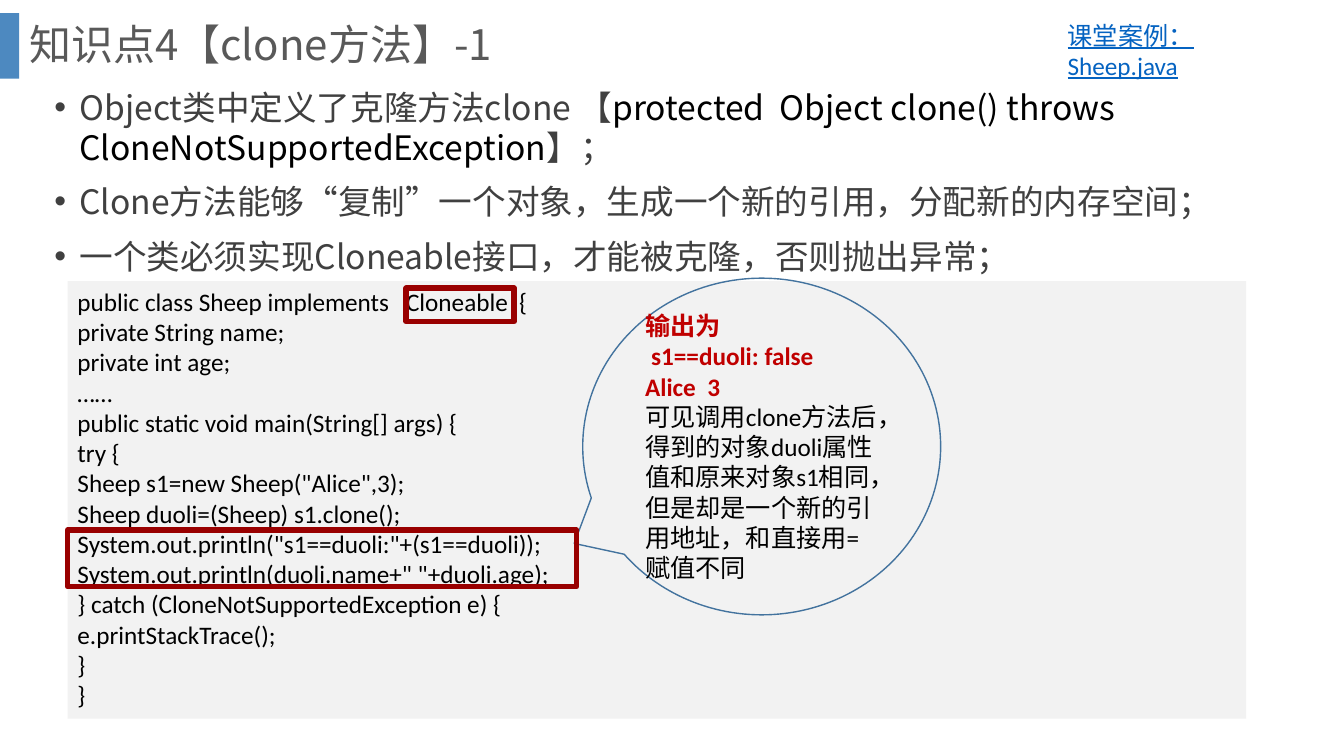
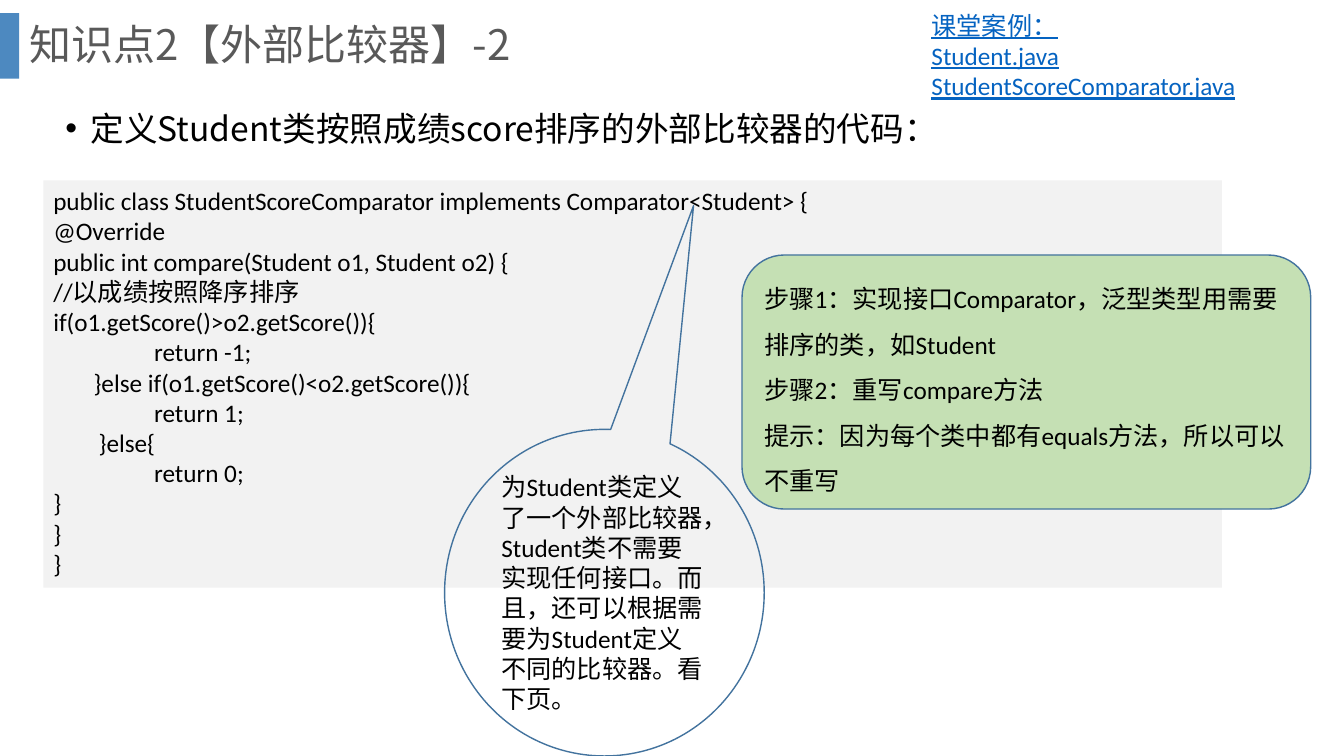
from lxml.etree import SubElement
from pptx import Presentation
from pptx.dml.color import RGBColor
from pptx.enum.shapes import MSO_SHAPE
from pptx.enum.text import MSO_ANCHOR, PP_ALIGN
from pptx.oxml.ns import qn
from pptx.util import Inches, Pt

COLORS = {
    "bar": "2E75B6", "title": "595959", "body": "404040", "black": "000000",
    "code": "F2F2F2", "link": "0563C1", "outline": "43739E",
    "frame": "990000", "result": "C00000", "steps": "C5E0B4",
}
HEADING_FONT, TEXT_FONT = "Noto Sans CJK SC", "Calibri"
RESULT = {"color": "result", "bold": True}

# Content: a paragraph is a list of (text, format) spans; places are left, top, width, height
SLIDES = [
    {
        "title": "知识点4【clone方法】-1",
        "bullets": {
            "at": (0.44, 0.81, 12.05, 2.07), "color": "body", "line_spacing": 1.0,
            "paragraphs": [
                [("Object类中定义了克隆方法clone 【", {}),
                 ("protected  Object clone() throws CloneNotSupportedException",
                  {"color": "black"}),
                 ("】；", {})],
                [("Clone方法能够“复制”一个对象，生成一个新的引用，分配新的内存空间；", {})],
                [("一个类必须实现Cloneable接口，才能被克隆，否则抛出异常；", {})],
            ],
        },
        "code": {
            "at": (0.67, 2.79, 11.69, 4.34),
            "lines": [
                "public class Sheep implements   Cloneable  {",
                "private String name;",
                "private int age;",
                "……",
                "public static void main(String[] args) {",
                "try {",
                'Sheep s1=new Sheep("Alice",3);',
                "Sheep duoli=(Sheep) s1.clone();",
                'System.out.println("s1==duoli:"+(s1==duoli));',
                'System.out.println(duoli.name+" "+duoli.age);',
                "} catch (CloneNotSupportedException e) {",
                "e.printStackTrace();",
                "}",
                "}",
            ],
            "indents": {},
        },
        "link": {"at": (10.49, 0.15, 2.28, 0.71), "lines": ["课堂案例：Sheep.java"]},
        "callout": {
            "at": (5.78, 2.76, 3.55, 3.34), "tip": (-0.524, 0.288),
            "paragraphs": [
                [("输出为", RESULT)],
                [("s1==duoli: false", RESULT)],
                [("Alice  3", RESULT)],
                [("可见调用clone方法后，得到的对象duoli属性值和原来对象s1相同，"
                  "但是却是一个新的引用地址，和直接用=赋值不同", {})],
            ],
            "indents": {1: 0.06},
        },
        "frames": [(4.03, 2.86, 1.07, 0.33), (0.67, 5.26, 5.05, 0.56)],
    },
    {
        "title": "知识点2【外部比较器】-2",
        "bullets": {
            "at": (0.55, 0.82, 11.89, 0.9), "color": "black", "line_spacing": 1.5,
            "paragraphs": [[("定义Student类按照成绩score排序的外部比较器的代码：", {})]],
        },
        "code": {
            "at": (0.43, 1.79, 11.69, 4.04),
            "lines": [
                "public class StudentScoreComparator implements Comparator<Student> {",
                "@Override",
                "public int compare(Student o1, Student o2) {",
                "//以成绩按照降序排序",
                "if(o1.getScore()>o2.getScore()){",
                "return -1;",
                "}else if(o1.getScore()<o2.getScore()){",
                "return 1;",
                "}else{",
                "return 0;",
                "}",
                "}",
                "}",
            ],
            "indents": {5: 1, 6: 0.4, 7: 1, 8: 0.45, 9: 1},
        },
        "steps": {
            "at": (7.36, 2.53, 5.64, 2.52),
            "lines": [
                "步骤1：实现接口Comparator，泛型类型用需要排序的类，如Student",
                "步骤2：重写compare方法",
                "提示：因为每个类中都有equals方法，所以可以不重写",
            ],
        },
        "callout": {
            "at": (4.41, 4.26, 3.17, 3.24), "tip": (0.279, -1.185),
            "paragraphs": [
                [("为Student类定义了一个外部比较器，Student类不需要实现任何接口。"
                  "而且，还可以根据需要为Student定义不同的比较器。看下页。", {})],
            ],
            "indents": {},
        },
        "link": {
            "at": (9.14, 0.05, 3.62, 1.01),
            "lines": ["课堂案例：", "Student.java", "StudentScoreComparator.java"],
        },
    },
]


def rgb(name):
    return RGBColor.from_string(COLORS[name])


def plain(lines):
    return [[(line, {})] for line in lines]


def place(shape, at):
    shape.left, shape.top, shape.width, shape.height = map(Inches, at)


def format_span(span, font, size, color, bold=False, underline=False):
    span.font.name, span.font.size = font, Pt(size)
    span.font.bold, span.font.underline = bold, underline
    span.font.color.rgb = rgb(color)
    # East Asian text takes the same typeface
    SubElement(span.font._element, qn("a:ea"), typeface=font)


def write(shape, paragraphs, font=TEXT_FONT, size=18, color="black", underline=False,
          anchor=MSO_ANCHOR.TOP, line_spacing=None, space_before=0, bullet=False,
          indents=None):
    frame = shape.text_frame
    frame.word_wrap, frame.vertical_anchor = True, anchor
    for index, spans in enumerate(paragraphs):
        para = frame.paragraphs[0] if index == 0 else frame.add_paragraph()
        para.alignment = PP_ALIGN.LEFT
        para.space_before = Pt(space_before)
        if line_spacing:
            para.line_spacing = line_spacing
        properties = para._p.get_or_add_pPr()
        if bullet:
            properties.set("marL", str(Inches(0.25)))
            properties.set("indent", str(-Inches(0.25)))
            SubElement(properties, qn("a:buFont"), typeface="Arial")
            SubElement(properties, qn("a:buChar"), char="•")
        elif indents and index in indents:
            properties.set("marL", str(Inches(indents[index])))
        for text, changes in spans:
            span = para.add_run()
            span.text = text
            style = {"color": color, "underline": underline, **changes}
            format_span(span, font, size, **style)


def add_box(page, kind, at, fill=None, line=None, line_width=1):
    box = page.shapes.add_shape(kind, *map(Inches, at))
    box.shadow.inherit = False
    if fill:
        box.fill.solid()
        box.fill.fore_color.rgb = rgb(fill)
    else:
        box.fill.background()
    if line:
        box.line.color.rgb = rgb(line)
        box.line.width = Pt(line_width)
    else:
        box.line.fill.background()
    return box


def add_layout_bar(page):
    """Draw the accent bar and hand it to the layout that all slides share."""
    bar = add_box(page, MSO_SHAPE.RECTANGLE, (0, 0.13, 0.19, 0.65), fill="bar")
    color = bar.element.find(".//" + qn("a:srgbClr"))
    SubElement(color, qn("a:alpha"), val="85000")
    page.slide_layout.shapes.element.append(bar.element)


def add_text(page, at, paragraphs, **style):
    write(page.shapes.add_textbox(*map(Inches, at)), paragraphs, **style)


def build_page(page, content):
    # Title and bullets
    place(page.shapes.title, (0.19, 0, 12.66, 0.93))
    write(page.shapes.title, plain([content["title"]]), font=HEADING_FONT, size=30,
          color="title", anchor=MSO_ANCHOR.MIDDLE, line_spacing=0.9)
    bullets = content["bullets"]
    add_text(page, bullets["at"], bullets["paragraphs"], font=HEADING_FONT, size=24,
             color=bullets["color"], line_spacing=bullets["line_spacing"],
             space_before=10, bullet=True)

    # Code panel
    code = content["code"]
    panel = add_box(page, MSO_SHAPE.RECTANGLE, code["at"], fill="code")
    write(panel, plain(code["lines"]), indents=code["indents"])

    # Steps
    if "steps" in content:
        steps = content["steps"]
        card = add_box(page, MSO_SHAPE.ROUNDED_RECTANGLE, steps["at"],
                       fill="steps", line="outline")
        write(card, plain(steps["lines"]), anchor=MSO_ANCHOR.MIDDLE, line_spacing=1.5)

    # Callout
    callout = content["callout"]
    bubble = add_box(page, MSO_SHAPE.OVAL_CALLOUT, callout["at"], line="outline")
    bubble.adjustments[0], bubble.adjustments[1] = callout["tip"]
    write(bubble, callout["paragraphs"], anchor=MSO_ANCHOR.MIDDLE,
          indents=callout["indents"])

    # Example files and highlight frames
    link = content["link"]
    add_text(page, link["at"], plain(link["lines"]), color="link", underline=True)
    for at in content.get("frames", []):
        add_box(page, MSO_SHAPE.RECTANGLE, at, line="frame", line_width=4)


def main():
    deck = Presentation()
    deck.slide_width, deck.slide_height = Inches(13.33), Inches(7.5)
    layout = deck.slide_layouts[5]
    pages = [deck.slides.add_slide(layout) for _ in SLIDES]
    add_layout_bar(pages[0])
    for page, content in zip(pages, SLIDES):
        build_page(page, content)
    deck.save("out.pptx")


if __name__ == "__main__":
    main()
